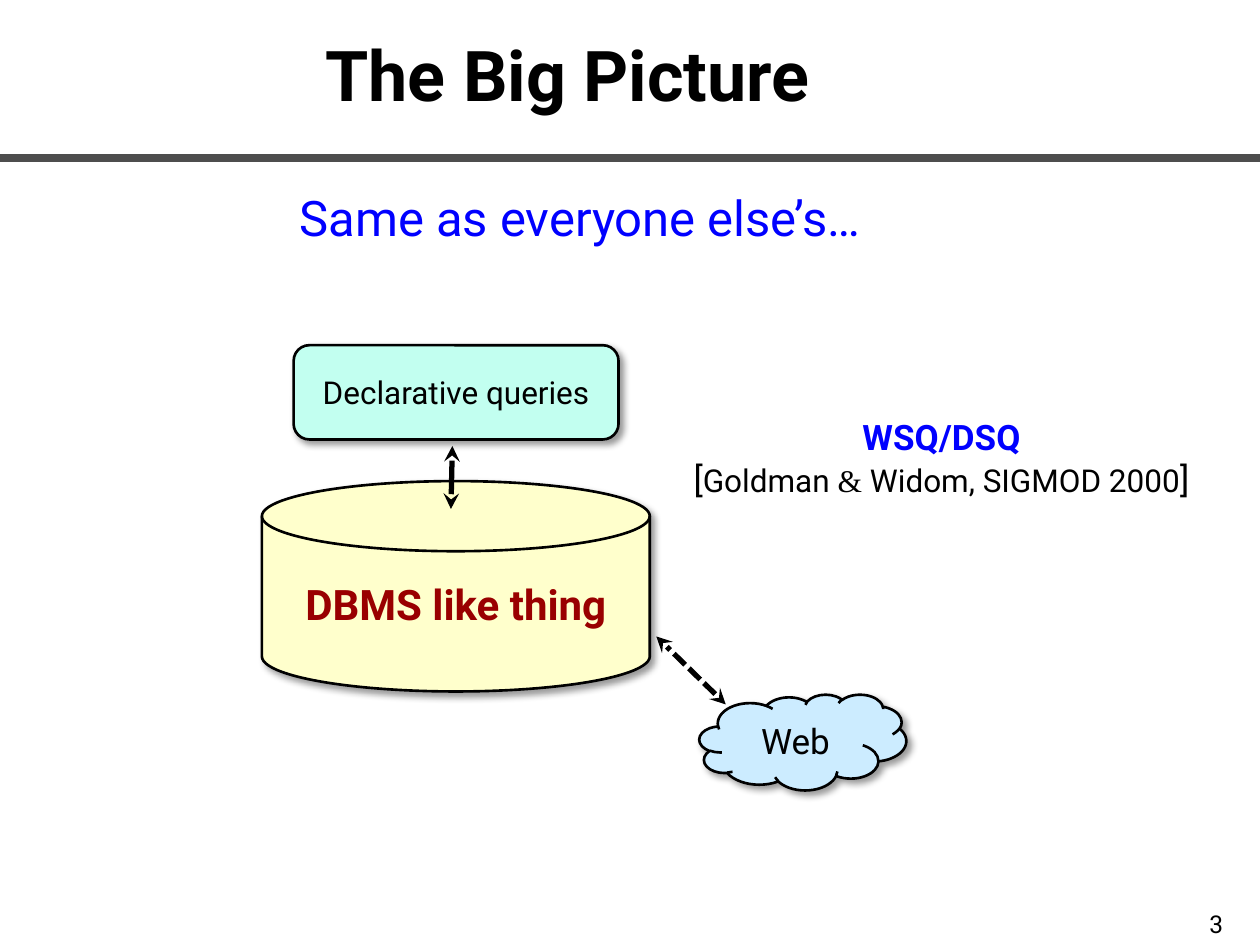
from dataclasses import dataclass
from pptx import Presentation
from pptx.dml.color import RGBColor
from pptx.enum.dml import MSO_LINE
from pptx.enum.shapes import MSO_CONNECTOR, MSO_SHAPE
from pptx.enum.text import MSO_ANCHOR, PP_ALIGN
from pptx.oxml import parse_xml
from pptx.oxml.ns import nsdecls, qn
from pptx.util import Cm, Pt


@dataclass(frozen=True)
class Theme:
    font: str = "Roboto"
    serif: str = "Times New Roman"
    black: str = "000000"
    blue: str = "0000FF"
    red: str = "990000"
    gray: str = "4D4D4D"
    cream: str = "FFFFCC"
    mint: str = "C2FFF0"
    sky: str = "CCECFF"
    title: int = 40
    lead: int = 28
    head: int = 24
    mid: int = 20
    body: int = 18
    note: int = 14


SHADOW = f"""<a:effectLst {nsdecls('a')}>
<a:outerShdw blurRad="50800" dist="38100" dir="2700000" algn="tl" rotWithShape="0">
<a:srgbClr val="000000"><a:alpha val="40000"/></a:srgbClr>
</a:outerShdw></a:effectLst>"""


class Page:
    def __init__(self, deck, theme):
        self.theme = theme
        self.slide = deck.slides.add_slide(deck.slide_layouts[6])

    def style(self, font, size, color, bold=False):
        font.name = self.theme.font
        font.size = Pt(size)
        font.bold = bold
        font.color.rgb = RGBColor.from_string(color)

    def label(self, para, text, size, color, bold=False, align=PP_ALIGN.CENTER):
        para.text = text
        para.alignment = align
        self.style(para.font, size, color, bold)

    def text(self, area, text, size, color, bold=False,
             align=PP_ALIGN.CENTER, anchor=MSO_ANCHOR.TOP, wrap=True):
        box = self.slide.shapes.add_textbox(*map(Cm, area))
        frame = box.text_frame
        frame.word_wrap = wrap
        frame.vertical_anchor = anchor
        self.label(frame.paragraphs[0], text, size, color, bold, align)
        return frame

    def shape(self, kind, area, fill, text, size, color, bold=False):
        node = self.slide.shapes.add_shape(kind, *map(Cm, area))
        node.fill.solid()
        node.fill.fore_color.rgb = RGBColor.from_string(fill)
        node.line.color.rgb = RGBColor.from_string(self.theme.black)
        node.line.width = Pt(1.5)
        node.element.spPr.append(parse_xml(SHADOW))
        frame = node.text_frame
        frame.vertical_anchor = MSO_ANCHOR.MIDDLE
        self.label(frame.paragraphs[0], text, size, color, bold)

    def line(self, ends, color, width, dash=None, arrow=False):
        link = self.slide.shapes.add_connector(MSO_CONNECTOR.STRAIGHT, *map(Cm, ends))
        link.line.color.rgb = RGBColor.from_string(color)
        link.line.width = Pt(width)
        if dash:
            link.line.dash_style = dash
        if arrow:
            stroke = link.element.spPr.find(qn("a:ln"))
            for end in ("headEnd", "tailEnd"):
                stroke.append(parse_xml(f'<a:{end} {nsdecls("a")} type="stealth"/>'))
        link.element.spPr.append(parse_xml(f'<a:effectLst {nsdecls("a")}/>'))


theme = Theme()
deck = Presentation()
deck.slide_width, deck.slide_height = Cm(25.4), Cm(19.05)
page = Page(deck, theme)

page.line((0, 3.18, 25.4, 3.18), theme.gray, 4.5)
page.text((24.13, 18.21, 1.27, 0.84), "3", theme.note, theme.black, align=PP_ALIGN.LEFT)
page.text((0.43, 0, 22.02, 2.97), "The Big Picture", theme.title, theme.black,
          bold=True, anchor=MSO_ANCHOR.MIDDLE)
page.text((5.44, 3.66, 12.5, 1.7), "Same as everyone else’s…", theme.lead, theme.blue)

page.shape(MSO_SHAPE.FLOWCHART_MAGNETIC_DISK, (5.28, 9.7, 7.82, 4.24), theme.cream,
           "DBMS like thing", theme.head, theme.red, bold=True)
page.shape(MSO_SHAPE.ROUNDED_RECTANGLE, (5.92, 6.96, 6.55, 1.9), theme.mint,
           "Declarative queries", theme.body, theme.black)
page.line((9.12, 8.99, 9.09, 10.26), theme.black, 3, arrow=True)
page.shape(MSO_SHAPE.CLOUD, (14.1, 14, 4.17, 1.93), theme.sky,
           "Web", theme.mid, theme.black)
page.line((14.63, 14.2, 13.23, 12.83), theme.black, 3, MSO_LINE.SQUARE_DOT, arrow=True)

cite = page.text((13.72, 8.26, 10.52, 1.96), "WSQ/DSQ", theme.mid, theme.blue,
                 bold=True, wrap=False)
credit = cite.add_paragraph()
credit.alignment = PP_ALIGN.CENTER
for part, size, face in (
    ("[", theme.mid, theme.font),
    ("Goldman ", theme.body, theme.font),
    ("&", theme.body, theme.serif),
    (" Widom, SIGMOD 2000", theme.body, theme.font),
    ("]", theme.mid, theme.font),
):
    run = credit.add_run()
    run.text = part
    page.style(run.font, size, theme.black)
    run.font.name = face

deck.save("out.pptx")
